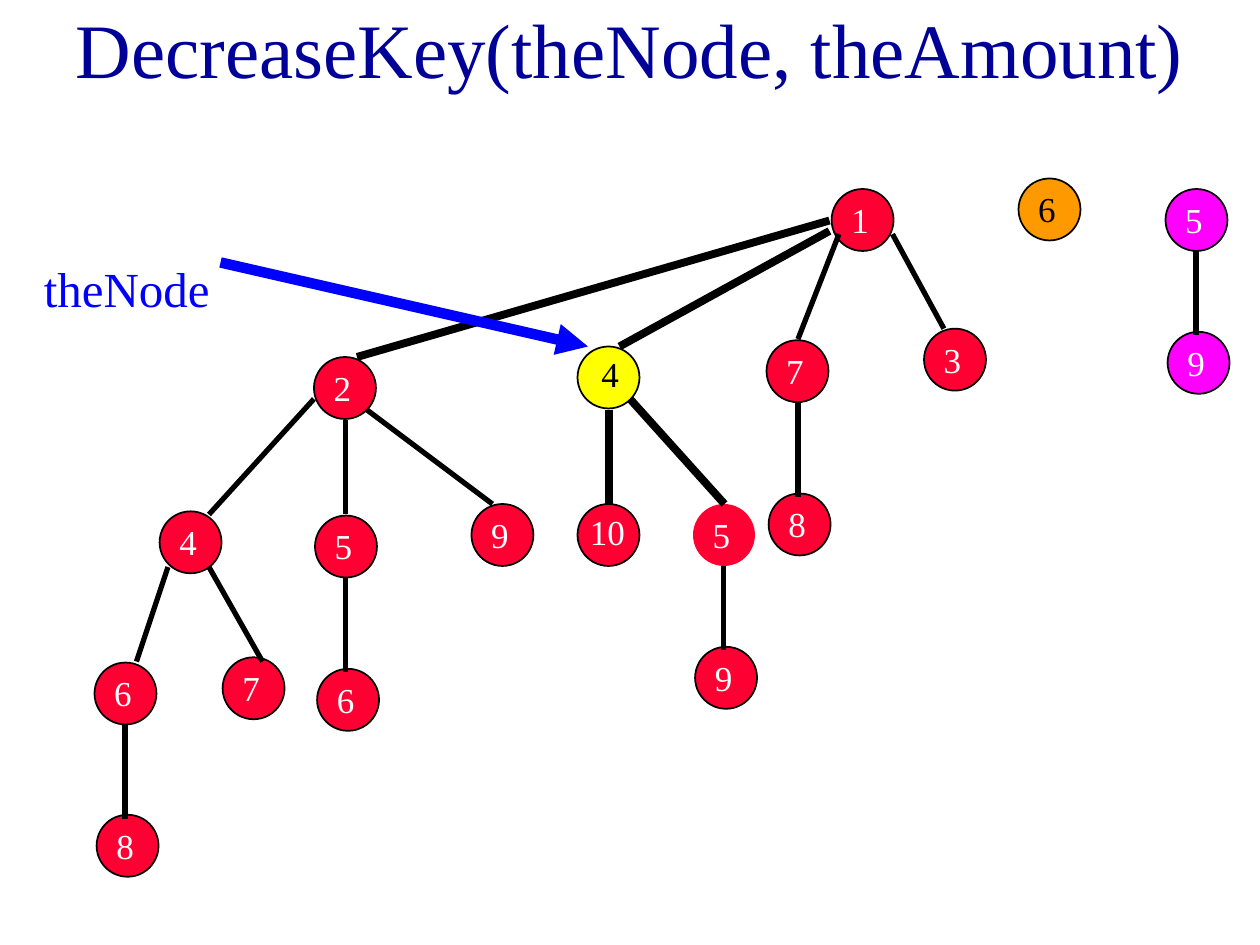
from pptx import Presentation
from pptx.dml.color import RGBColor as RGB
from pptx.enum.shapes import MSO_CONNECTOR as LINK, MSO_SHAPE as SHAPE
from pptx.enum.text import MSO_ANCHOR as ANCHOR, PP_ALIGN as ALIGN
from pptx.oxml.ns import qn
from pptx.util import Inches, Pt
from lxml.etree import SubElement

BLACK = RGB(0, 0, 0)
WHITE = RGB(255, 255, 255)
NAVY = RGB(0, 0, 0x99)
BLUE = RGB(0, 0, 255)
RED = RGB(255, 0, 0x33)
YELLOW = RGB(255, 255, 0)
ORANGE = RGB(255, 0x99, 0)
PINK = RGB(255, 0, 255)

# The slide is a grid of 120 columns by 90 rows
CELL = Inches(10) / 120
SIZE = 5.9

deck = Presentation()
deck.slide_width, deck.slide_height = Inches(10), Inches(7.5)
slide = deck.slides.add_slide(deck.slide_layouts[6])
shapes = slide.shapes


def write(text, col, row, wide, high, size, color, wrap=False):
    box = shapes.add_textbox(*(round(n * CELL) for n in (col, row, wide, high)))
    frame = box.text_frame
    frame.text = text
    frame.word_wrap = wrap
    font = frame.paragraphs[0].runs[0].font
    font.name, font.size = "Times New Roman", Pt(size)
    font.color.rgb = color
    return frame


def draw(ends, width, color):
    line = shapes.add_connector(LINK.STRAIGHT, *(round(n * CELL) for n in ends))
    line.line.width = Pt(width)
    line.line.color.rgb = color
    SubElement(line._element.spPr, qn("a:effectLst"))
    return line


# Title
title = write("DecreaseKey(theNode, theAmount)", 2, 0, 116, 9, 44, NAVY, True)
title.vertical_anchor = ANCHOR.MIDDLE
title.paragraphs[0].alignment = ALIGN.CENTER

# Nodes: key, column, row, fill
nodes = [
    ("1", 79.2, 18, RED), ("7", 73, 32.4, RED),
    ("3", 88, 31.3, RED), ("8", 73.2, 47, RED),
    ("2", 29.9, 34, RED), ("5", 30, 49.1, RED),
    ("9", 44.9, 48, RED), ("6", 30.2, 63.7, RED),
    ("4", 15.2, 48.7, RED), ("6", 9, 63.1, RED),
    ("7", 21.2, 62.6, RED), ("8", 9.2, 77.6, RED),
    ("10", 55, 48, RED), ("4", 55, 33, YELLOW),
    ("5", 66, 48, RED), ("9", 66.2, 61.6, RED),
    ("6", 97, 17, ORANGE),
    ("5", 111, 18, PINK), ("9", 111.2, 31.6, PINK),
]
bare = (66, 48)  # the one node with no outline
shifts = {(55, 48): (0, 0), (55, 33): (1.1, 0)}  # labels set off the rule
for key, col, row, fill in nodes:
    disc = shapes.add_shape(
        SHAPE.OVAL, *(round(n * CELL) for n in (col, row, SIZE, SIZE)))
    disc.shadow.inherit = False
    disc.fill.solid()
    disc.fill.fore_color.rgb = fill
    if (col, row) == bare:
        disc.line.fill.background()
    else:
        disc.line.color.rgb = BLACK
        disc.line.width = Pt(1)
    right, down = shifts.get((col, row), (0.7, 0.3))
    ink = BLACK if fill in (YELLOW, ORANGE) else WHITE
    write(key, col + right, row + down, 2.4 + 1.7 * len(key), 5.2, 20, ink)

# Tree edges, by line width
edges = {
    3: [
        (76, 38.3, 76, 47.3), (79.9, 22.3, 76, 32.3),
        (85, 22.3, 89.9, 31.3), (32.9, 55, 32.9, 64),
        (32.9, 40, 32.9, 49), (34.9, 39, 46.9, 48),
        (11.9, 69, 11.9, 78), (16, 54, 13, 63),
        (19.9, 54, 25, 63), (29.9, 38, 19.9, 49),
        (68.9, 53.9, 68.9, 61.9), (113.9, 23.9, 113.9, 31.9),
    ],
    4.5: [
        (58, 39, 58, 48), (60, 38, 69, 48),
        (79, 22, 59, 33), (79, 21, 34, 34),
    ],
}
for width, group in edges.items():
    for ends in group:
        draw(ends, width, BLACK)

# Pointer to the node
arrow = draw((21, 25, 56, 33), 6, BLUE)
SubElement(arrow.line._get_or_add_ln(), qn("a:tailEnd"), type="triangle")
write("theNode", 3, 24, 23, 6.8, 28, BLUE, True)

deck.save("out.pptx")
